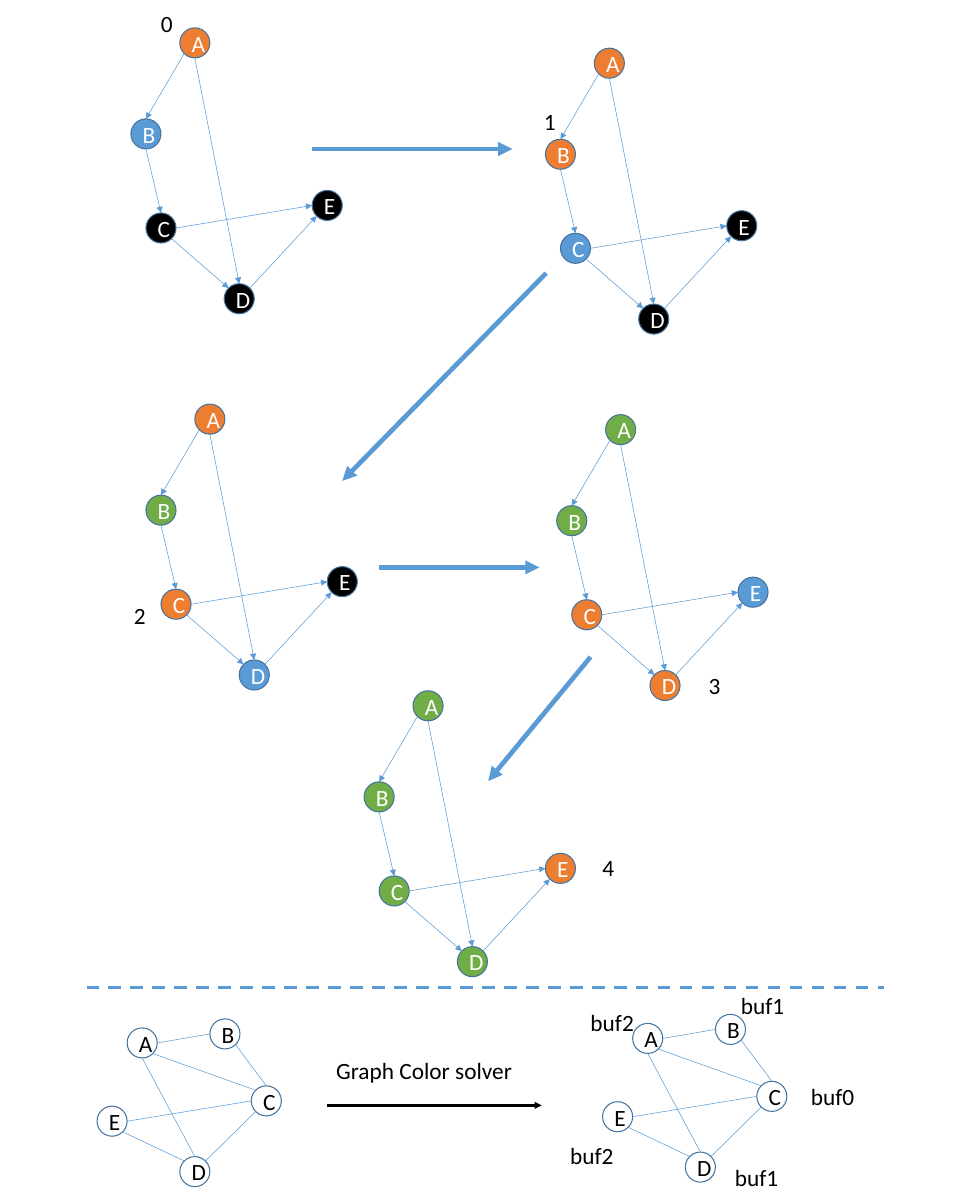
from math import cos, pi, sin

from lxml import etree
from pptx import Presentation
from pptx.dml.color import RGBColor
from pptx.enum.dml import MSO_LINE
from pptx.enum.shapes import MSO_CONNECTOR, MSO_SHAPE
from pptx.enum.text import MSO_ANCHOR, MSO_AUTO_SIZE, PP_ALIGN
from pptx.oxml.ns import qn
from pptx.util import Pt

PX = 9144
STRAIGHT = MSO_CONNECTOR.STRAIGHT
OVAL = MSO_SHAPE.OVAL
DASH = MSO_LINE.DASH
CENTER = PP_ALIGN.CENTER
MIDDLE = MSO_ANCHOR.MIDDLE
GROW = MSO_AUTO_SIZE.SHAPE_TO_FIT_TEXT

COLORS = {
    "orange": "ED7D31",
    "blue": "5B9BD5",
    "green": "70AD47",
    "black": "000000",
    "white": "FFFFFF",
    "outline": "43739E",
}
FONT = "Calibri"
TEXT_SIZE = 22.3
NODE_SIZE = 40
LABEL_HEIGHT = 48
ANGLES = {"right": 0, "bottom right": 1, "bottom": 2, "bottom left": 3,
          "left": 4, "top left": 5, "top": 6, "top right": 7}

STATE_NODES = {"A": (65, 0), "B": (0, 121), "C": (20, 246), "D": (124, 340), "E": (241, 216)}
STATE_EDGES = [
    ("A", "bottom left", "B", "top"),
    ("B", "bottom", "C", "top"),
    ("C", "bottom right", "D", "top left"),
    ("D", "top right", "E", "bottom left"),
    ("A", "bottom", "D", "top"),
    ("C", "right", "E", "left"),
]
STATES = [
    (174, 37, ["orange", "blue", "black", "black", "black"], (30, -30)),
    (725, 64, ["orange", "orange", "blue", "black", "black"], (-12, 74)),
    (194, 537, ["orange", "green", "orange", "blue", "black"], (-26, 257)),
    (740, 551, ["green", "green", "orange", "orange", "blue"], (192, 336)),
    (484, 918, ["green", "green", "green", "green", "orange"], (307, 211)),
]
STATE_ARROWS = [
    ((415, 198), (681, 198)),
    ((726, 363), (455, 639)),
    ((504, 754), (717, 754)),
    ((785, 873), (649, 1038)),
]

CONFLICT_NODES = {"A": (40, 12), "B": (150, 0), "C": (205, 89), "D": (110, 183), "E": (0, 116)}
CONFLICT_EDGES = [
    ("A", "right", "B", "left"),
    ("B", "bottom right", "C", "top"),
    ("A", "bottom right", "C", "top left"),
    ("A", "bottom", "D", "top"),
    ("C", "bottom left", "D", "top right"),
    ("C", "left", "E", "right"),
    ("D", "top left", "E", "bottom right"),
]
BUFFERS = [
    ("buf0", 267, 85),
    ("buf1", 166, 193),
    ("buf2", -53, 164),
    ("buf2", -26, -13),
    ("buf1", 174, -36),
]


def rgb(name):
    """Return the named colour."""
    return RGBColor.from_string(COLORS[name])


def set_text(text_frame, text, color):
    """Put formatted text into a text frame."""
    text_frame.text = text
    font = text_frame.paragraphs[0].runs[0].font
    font.name = FONT
    font.size = Pt(TEXT_SIZE)
    font.color.rgb = rgb(color)


def add_label(slide, text, left, top, width):
    """Add a black text label."""
    shape = slide.shapes.add_textbox(left * PX, top * PX, width * PX, LABEL_HEIGHT * PX)
    shape.text_frame.word_wrap = True
    shape.text_frame.auto_size = GROW
    set_text(shape.text_frame, text, "black")


def add_line(slide, start, end, width, color="blue", arrow=False):
    """Add a straight line and return it."""
    points = [round(value * PX) for value in (*start, *end)]
    connector = slide.shapes.add_connector(STRAIGHT, *points)
    connector.line.color.rgb = rgb(color)
    connector.line.width = Pt(width)
    if arrow:
        outline = connector.line._get_or_add_ln()
        etree.SubElement(outline, qn("a:tailEnd"), type="triangle")
    etree.SubElement(connector._element.spPr, qn("a:effectLst"))
    return connector


def add_node(slide, name, left, top, fill=None):
    """Add a lettered circle, hollow when no fill is given."""
    shape = slide.shapes.add_shape(OVAL, left * PX, top * PX, NODE_SIZE * PX, NODE_SIZE * PX)
    shape.shadow.inherit = False
    if fill:
        shape.fill.solid()
        shape.fill.fore_color.rgb = rgb(fill)
    else:
        shape.fill.background()
    shape.line.color.rgb = rgb("outline")
    shape.line.width = Pt(1)
    shape.text_frame.vertical_anchor = MIDDLE
    set_text(shape.text_frame, name, "white" if fill else "black")
    shape.text_frame.paragraphs[0].alignment = CENTER


def rim_point(left, top, side):
    """Return the point on a node's rim at the named side."""
    radius = NODE_SIZE / 2
    angle = ANGLES[side] * pi / 4
    return left + radius * (1 + cos(angle)), top + radius * (1 + sin(angle))


def draw_graph(slide, left, top, nodes, edges, fills, arrow):
    """Draw nodes and edges relative to a corner."""
    places = {name: (left + x, top + y) for name, (x, y) in nodes.items()}
    for (name, place), fill in zip(places.items(), fills):
        add_node(slide, name, *place, fill)
    for source, source_side, target, target_side in edges:
        start = rim_point(*places[source], source_side)
        end = rim_point(*places[target], target_side)
        add_line(slide, start, end, 0.5, arrow=arrow)


def draw_state(slide, number, left, top, fills, label_offset):
    """Draw one numbered step of the execution."""
    draw_graph(slide, left, top, STATE_NODES, STATE_EDGES, fills, True)
    add_label(slide, str(number), left + label_offset[0], top + label_offset[1], 54)


def draw_conflicts(slide, left, top, buffers=()):
    """Draw the conflict graph with its buffer labels."""
    draw_graph(slide, left, top, CONFLICT_NODES, CONFLICT_EDGES, [None] * 5, False)
    for text, x, y in buffers:
        add_label(slide, text, left + x, top + y, 79)


def draw_solver(slide, left, top):
    """Draw the solver arrow and its caption."""
    add_line(slide, (left, top + 71), (left + 285, top + 71), 2.25, "black", True)
    add_label(slide, "Graph Color solver", left + 2, top, 300)


def main():
    """Build and save the slide."""
    presentation = Presentation()
    presentation.slide_width = 1300 * PX
    presentation.slide_height = 1600 * PX
    slide = presentation.slides.add_slide(presentation.slide_layouts[6])
    for number, state in enumerate(STATES):
        draw_state(slide, number, *state)
    for start, end in STATE_ARROWS:
        add_line(slide, start, end, 4.5, arrow=True)
    divider = add_line(slide, (115, 1312), (1175, 1312), 3)
    divider.line.dash_style = DASH
    draw_conflicts(slide, 129, 1354)
    draw_solver(slide, 435, 1398)
    draw_conflicts(slide, 801, 1348, BUFFERS)
    presentation.save("out.pptx")


if __name__ == "__main__":
    main()
